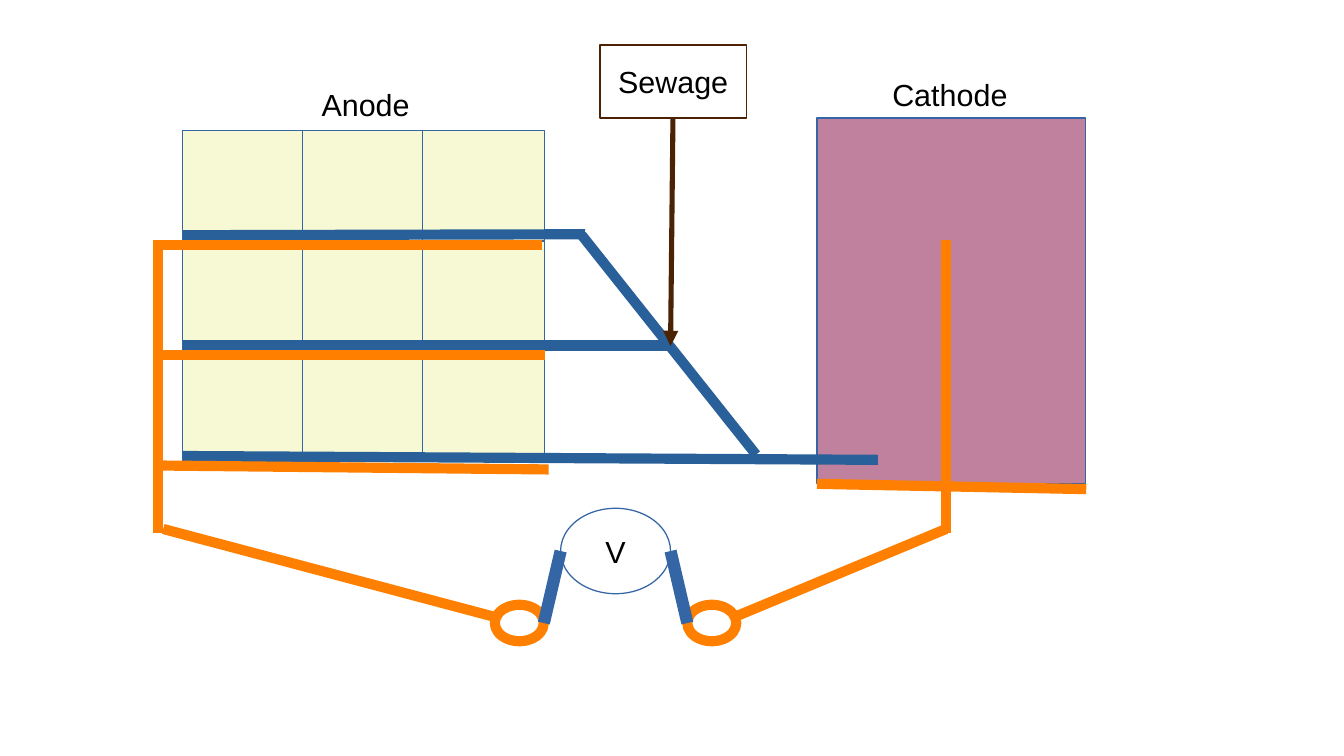
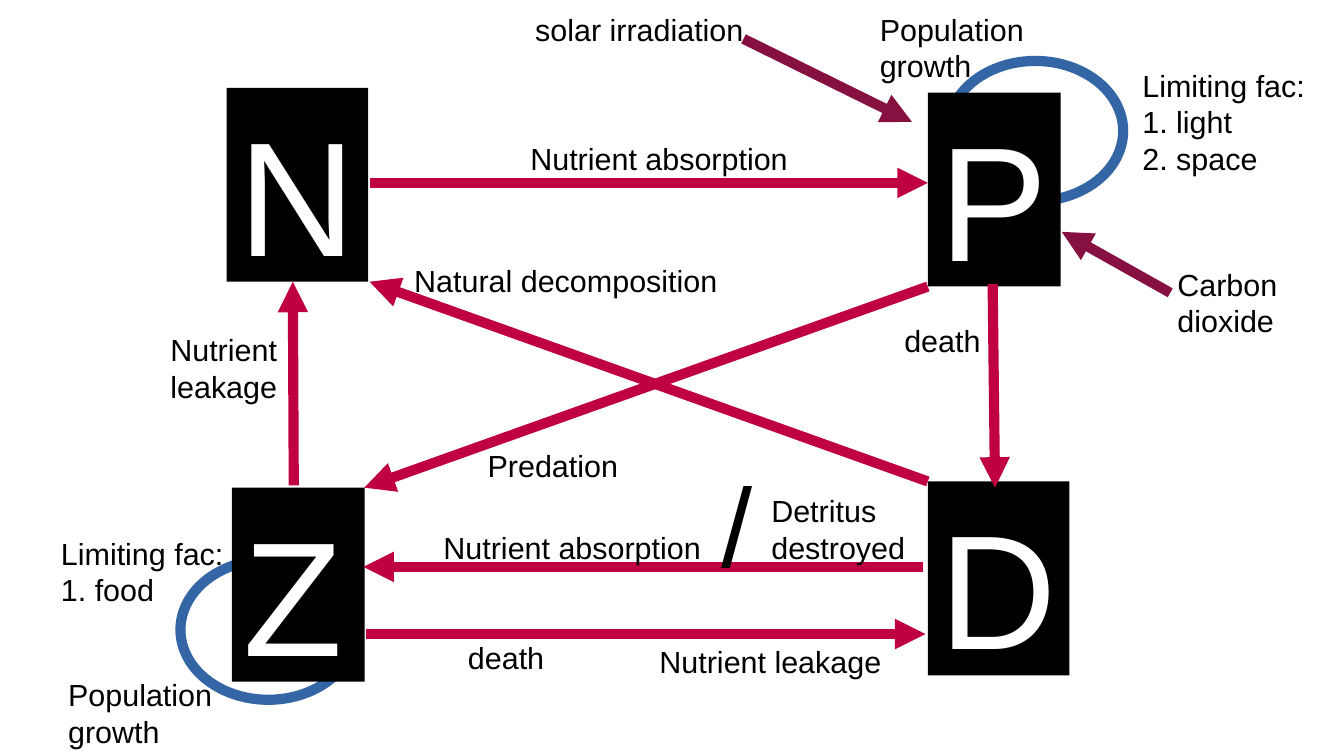
from dataclasses import dataclass
from itertools import product
from typing import Any

from lxml.etree import SubElement
from pptx import Presentation
from pptx.dml.color import RGBColor
from pptx.enum.shapes import MSO_CONNECTOR as Connector
from pptx.enum.shapes import MSO_SHAPE as Preset
from pptx.enum.text import MSO_ANCHOR as Anchor
from pptx.enum.text import MSO_AUTO_SIZE as AutoSize
from pptx.enum.text import PP_ALIGN as Align
from pptx.oxml.ns import qn
from pptx.util import Cm, Pt

BLACK = RGBColor(0x00, 0x00, 0x00)
WHITE = RGBColor(0xFF, 0xFF, 0xFF)
BLUE = RGBColor(0x34, 0x65, 0xA4)
PIPE_BLUE = RGBColor(0x2A, 0x60, 0x99)
ORANGE = RGBColor(0xFF, 0x80, 0x00)
CREAM = RGBColor(0xF6, 0xF9, 0xD4)
MAUVE = RGBColor(0xBF, 0x81, 0x9E)
BROWN = RGBColor(0x4B, 0x22, 0x04)
CRIMSON = RGBColor(0xBF, 0x00, 0x41)
WINE = RGBColor(0x86, 0x11, 0x41)

FONT = "Arial"
TEXT_SIZE = 18
LETTER_SIZE = 96
THICK = 6
HAIRLINE = 0


@dataclass
class Region:
    """An area of a slide whose parts are placed in centimetres from its corner."""

    slide: Any
    left: float
    top: float

    def place(self, left, top, width, height):
        """Return the slide position and size of a part of the region."""
        return Cm(self.left + left), Cm(self.top + top), Cm(width), Cm(height)

    def shape(self, preset, box, fill=None, line=None, weight=HAIRLINE):
        """Add a preset shape with the given fill and outline."""
        shape = self.slide.shapes.add_shape(preset, *self.place(*box))
        shape.shadow.inherit = False
        if fill is None:
            shape.fill.background()
        else:
            shape.fill.solid()
            shape.fill.fore_color.rgb = fill
        if line is None:
            shape.line.fill.background()
        else:
            shape.line.color.rgb = line
            shape.line.width = Pt(weight)
        return shape

    def line(self, start, end, color, weight=THICK, arrow=False):
        """Add a straight line, with an arrowhead at its end if asked."""
        points = [Cm(self.left + start[0]), Cm(self.top + start[1]),
                  Cm(self.left + end[0]), Cm(self.top + end[1])]
        connector = self.slide.shapes.add_connector(Connector.STRAIGHT, *points)
        connector.line.color.rgb = color
        connector.line.width = Pt(weight)
        properties = connector.element.spPr
        if arrow:
            SubElement(properties.find(qn("a:ln")), qn("a:tailEnd"), type="triangle")
        SubElement(properties, qn("a:effectLst"))

    def label(self, text, left, top, width, height=None, size=TEXT_SIZE):
        """Add a text box with one paragraph for each line of text."""
        height = height or 0.25 + 0.71 * len(text.split("\n"))
        box = self.slide.shapes.add_textbox(*self.place(left, top, width, height))
        write(box, text, size)
        box.text_frame.word_wrap = True
        box.text_frame.auto_size = AutoSize.SHAPE_TO_FIT_TEXT


def write(shape, text, size=TEXT_SIZE, color=BLACK, align=Align.LEFT, anchor=Anchor.TOP):
    """Put formatted text in a shape."""
    frame = shape.text_frame
    frame.text = text
    frame.word_wrap = False
    frame.vertical_anchor = anchor
    for paragraph in frame.paragraphs:
        paragraph.alignment = align
        for run in paragraph.runs:
            run.font.name = FONT
            run.font.size = Pt(size)
            run.font.color.rgb = color


def add_anode(slide, left, top):
    """Draw the grid of anode cells with its sewage pipes and wiring."""
    anode = Region(slide, left, top)
    column_pitch, row_pitch = 2.5, 2.3
    for row, column in product(range(3), range(3)):
        box = (column * column_pitch, row * row_pitch, 2.54, row_pitch)
        anode.shape(Preset.RECTANGLE, box, CREAM, BLUE)
    anode.label("Anode", 2.64, -1.05, 2.6)

    pipes = [(8.38, -0.02), (10.16, 0), (14.48, 0.08)]
    for row, (end, drop) in enumerate(pipes, 1):
        level = row * row_pitch - 0.12
        anode.line((0, level), (end, level + drop), PIPE_BLUE)
    anode.line((8.31, 2.18), (11.94, 6.75), PIPE_BLUE)

    electrodes = [(-0.51, 7.49, 0), (-0.61, 7.54, 0), (-0.41, 7.62, 0.08)]
    for row, (start, end, drop) in enumerate(electrodes, 1):
        level = row * row_pitch + 0.08
        anode.line((start, level), (end, level + drop), ORANGE)
    anode.line((-0.51, 2.28), (-0.51, 8.38), ORANGE)
    anode.line((-0.41, 8.3), (6.6, 10.16), ORANGE)


def add_cathode(slide, left, top):
    """Draw the cathode tank with its electrode and wire."""
    cathode = Region(slide, left, top)
    cathode.shape(Preset.RECTANGLE, (0, 0, 5.59, 7.62), MAUVE, BLUE)
    cathode.label("Cathode", 1.32, -0.99, 3.2)
    cathode.line((0, 7.62), (5.61, 7.73), ORANGE)
    cathode.line((2.69, 2.54), (2.69, 8.64), ORANGE)
    cathode.line((2.69, 8.56), (-1.78, 10.42), ORANGE)


def add_voltmeter(slide, left, top):
    """Draw the voltmeter with a lead and a terminal ring on each side."""
    meter = Region(slide, left, top)
    width, height = 2.29, 1.78
    ring_width, lead_reach = 1.02, 0.35
    for ring_left in (-lead_reach - ring_width, width + lead_reach):
        meter.shape(Preset.OVAL, (ring_left, 2.01, ring_width, 0.76), None, ORANGE, THICK)
    dial = meter.shape(Preset.OVAL, (0, 0, width, height), None, BLUE)
    write(dial, "V", align=Align.CENTER, anchor=Anchor.MIDDLE)
    for side, reach in ((0, -lead_reach), (width, lead_reach)):
        meter.line((side, height / 2), (side + reach, 2.39), BLUE, 7.2)


def add_sewage_feed(slide, left, top):
    """Draw the sewage box and the arrow to the pipes."""
    feed = Region(slide, left, top)
    box = feed.shape(Preset.RECTANGLE, (0, 0, 3.05, 1.52), None, BROWN)
    write(box, "Sewage", align=Align.CENTER, anchor=Anchor.MIDDLE)
    feed.line((1.52, 1.52), (1.47, 6.27), BROWN, 3, arrow=True)


def add_compartment(slide, left, top, width, letter, loop=None, notes=()):
    """Draw a lettered block with its growth loop and notes."""
    block = Region(slide, left, top)
    if loop:
        block.shape(Preset.OVAL, (*loop, 3.66, 2.92), None, BLUE, THICK)
    tile = block.shape(Preset.RECTANGLE, (0, 0, width, 4.04), BLACK)
    write(tile, letter, LETTER_SIZE, WHITE)
    for note in notes:
        block.label(*note)


def add_flows(slide, left, top):
    """Draw the arrows between the compartments and their names."""
    area = Region(slide, left, top)
    exchanges = [
        ((7.7, 3.81), (19.33, 3.81)),
        ((6.12, 10.11), (6.1, 5.87)),
        ((20.68, 5.92), (20.73, 10.16)),
        ((7.62, 13.21), (19.28, 13.21)),
        ((19.23, 11.81), (7.57, 11.81)),
        ((19.33, 5.97), (7.59, 10.16)),
        ((19.33, 10.03), (7.7, 5.87)),
    ]
    inputs = [((15.49, 0.81), (19, 2.54)), ((24.38, 6.1), (22.12, 4.83))]
    for color, arrows in ((CRIMSON, exchanges), (WINE, inputs)):
        for start, end in arrows:
            area.line(start, end, color, arrow=True)
    names = [
        ("solar irradiation", 10.9, 0.1, 5.2),
        ("Nutrient absorption", 10.8, 2.79, 6.2),
        ("Nutrient\nleakage", 3.3, 6.78, 3.1),
        ("death", 18.59, 6.58, 2.4),
        ("Nutrient absorption", 8.99, 10.9, 6.2),
        ("death", 9.5, 13.18, 2.4),
        ("Nutrient leakage", 13.49, 13.28, 5.5),
        ("Detritus\ndestroyed", 15.82, 10.13, 3.6),
        ("/", 14.78, 9.37, 1.4, 2.84, 66),
        ("Carbon\ndioxide", 24.28, 5.41, 2.9),
        ("Predation", 9.91, 9.19, 3.6),
        ("Natural decomposition", 8.38, 5.33, 7.2),
    ]
    for name in names:
        area.label(*name)


def build_fuel_cell(slide):
    """Lay out the sewage fuel cell."""
    add_cathode(slide, 17.02, 2.46)
    add_anode(slide, 3.81, 2.72)
    add_voltmeter(slide, 11.68, 10.59)
    add_sewage_feed(slide, 12.5, 0.94)


def build_nutrient_cycle(slide):
    """Lay out the cycle of the four compartments."""
    growth = "Population\ngrowth"
    add_compartment(slide, 19.33, 1.93, 2.77, "P", (0.41, -0.66), [
        (growth, -1.25, -1.83, 3.9),
        ("Limiting fac:\n1. light\n2. space", 4.22, -0.66, 4.2),
    ])
    add_compartment(slide, 4.72, 1.83, 2.95, "N")
    add_compartment(slide, 4.83, 10.16, 2.77, "Z", (-1.07, 1.5), [
        (growth, -3.66, 3.81, 3.9),
        ("Limiting fac:\n1. food", -3.81, 0.86, 4.2),
    ])
    add_compartment(slide, 19.33, 10.03, 2.95, "D")
    add_flows(slide, 0, 0)


def main():
    """Build and save the presentation."""
    presentation = Presentation()
    presentation.slide_width = Cm(28)
    presentation.slide_height = Cm(15.75)
    blank = presentation.slide_layouts[6]
    for build in (build_fuel_cell, build_nutrient_cycle):
        build(presentation.slides.add_slide(blank))
    presentation.save("out.pptx")


if __name__ == "__main__":
    main()
